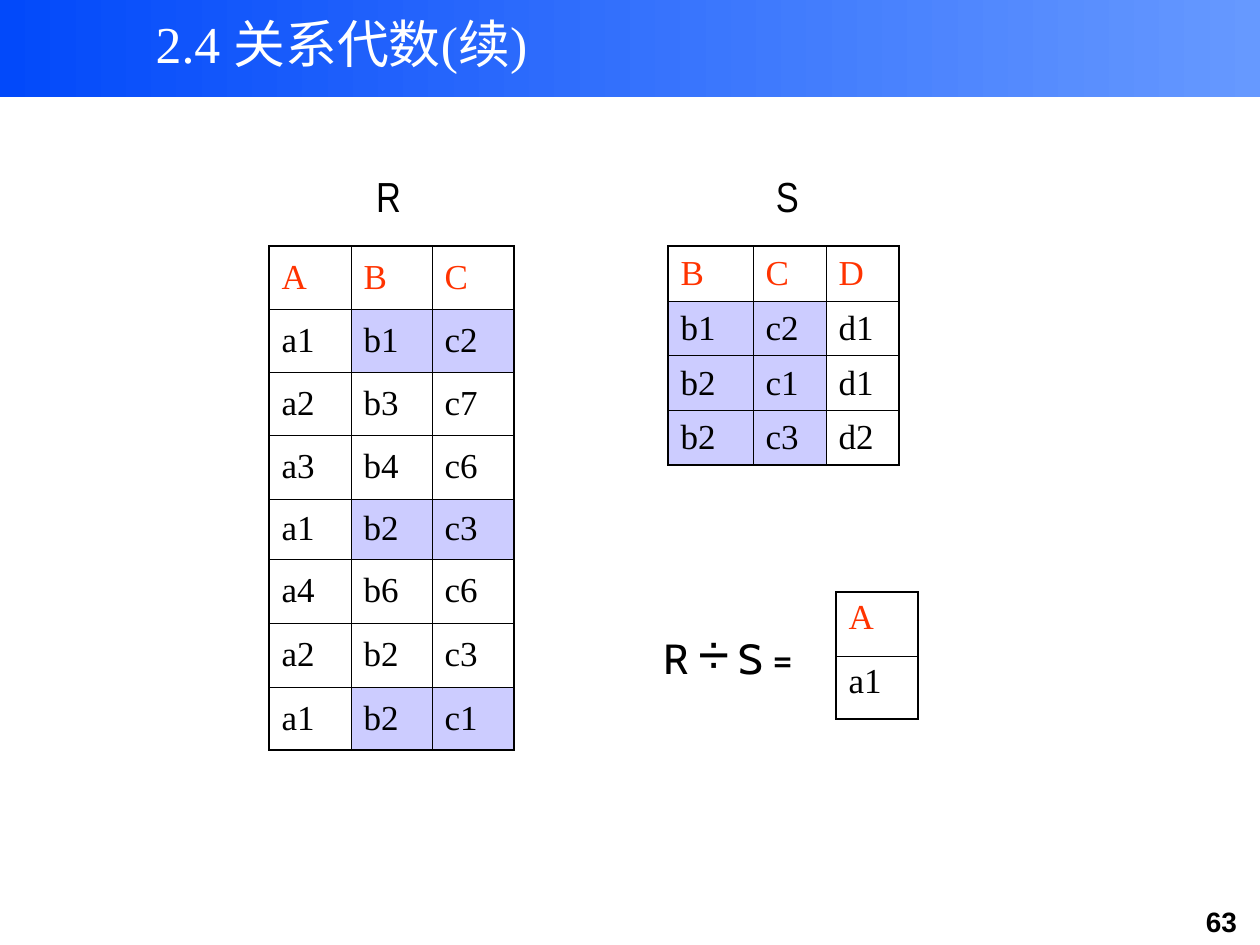
import dataclasses

import pptx
import pptx.dml.color
import pptx.enum.shapes
import pptx.enum.text
import pptx.oxml
import pptx.oxml.ns
import pptx.util

ALIGN = pptx.enum.text.PP_ALIGN
ANCHOR = pptx.enum.text.MSO_ANCHOR


@dataclasses.dataclass(frozen=True)
class Theme:
    banner_start: str = "0249FA"
    banner_end: str = "6699FF"
    white: str = "FFFFFF"
    ink: str = "000000"
    header: str = "FF3300"
    match: str = "CCCCFF"
    serif: str = "Times New Roman"
    sans: str = "Arial"
    narrow: str = "Arial Narrow"
    formula: str = "Cabin"
    title_size: float = 29.6
    operator_size: int = 32
    label_size: int = 24
    cell_size: int = 20
    number_size: int = 16
    outer_line: float = 1.08
    inner_line: float = 0.45


class SlideBuilder:
    def __init__(self, deck, theme):
        self.theme = theme
        self.slide = deck.slides.add_slide(deck.slide_layouts[6])

    @staticmethod
    def px(*lengths):
        return [pptx.util.Emu(round(length * 914400 / 126)) for length in lengths]

    @staticmethod
    def color(value):
        return pptx.dml.color.RGBColor.from_string(value)

    def style(self, font, name, size, color, bold=False):
        font.name = name
        font.size = pptx.util.Pt(size)
        font.bold = bold
        font.color.rgb = self.color(color)

    def banner(self, *frame):
        shape = self.slide.shapes.add_shape(
            pptx.enum.shapes.MSO_SHAPE.RECTANGLE, *self.px(*frame))
        shape.shadow.inherit = False
        shape.line.fill.background()
        shape.fill.gradient()
        shape.fill.gradient_angle = 0
        stops = shape.fill.gradient_stops
        for stop, value in zip(stops, (self.theme.banner_start, self.theme.banner_end)):
            stop.color.rgb = self.color(value)

    def text(self, frame, spans, color, bold=False, anchor=ANCHOR.TOP):
        box = self.slide.shapes.add_textbox(*self.px(*frame))
        box.text_frame.word_wrap = False
        box.text_frame.vertical_anchor = anchor
        para = box.text_frame.paragraphs[0]
        para.alignment = ALIGN.CENTER
        for words, name, size in spans:
            span = para.add_run()
            span.text = words
            self.style(span.font, name, size, color, bold)

    def border(self, cell, sides):
        properties = cell._tc.get_or_add_tcPr()
        for side, is_outer in sides.items():
            points = self.theme.outer_line if is_outer else self.theme.inner_line
            properties.append(pptx.oxml.parse_xml(
                f'<a:ln{side} {pptx.oxml.ns.nsdecls("a")} w="{pptx.util.Pt(points)}">'
                f'<a:solidFill><a:srgbClr val="{self.theme.ink}"/></a:solidFill>'
                f'</a:ln{side}>'))

    def relation(self, left, top, widths, heights, rows, matches=(), anchor=ANCHOR.MIDDLE):
        frame = self.px(left, top, sum(widths), sum(heights))
        table = self.slide.shapes.add_table(len(rows), len(widths), *frame).table
        table.first_row = table.horz_banding = False
        for column, width in zip(table.columns, self.px(*widths)):
            column.width = width
        for line, height in zip(table.rows, self.px(*heights)):
            line.height = height
        for r, row in enumerate(rows):
            for c, value in enumerate(row.split()):
                cell = table.cell(r, c)
                cell.text_frame.text = value
                cell.vertical_anchor = anchor
                color = self.theme.header if r == 0 else self.theme.ink
                span = cell.text_frame.paragraphs[0].runs[0]
                self.style(span.font, self.theme.serif, self.theme.cell_size, color)
                self.border(cell, {"L": c == 0, "R": c == len(widths) - 1,
                                   "T": r == 0, "B": r == len(rows) - 1})
                if (r, c) in matches:
                    cell.fill.solid()
                    cell.fill.fore_color.rgb = self.color(self.theme.match)
                else:
                    cell.fill.background()


def main():
    theme = Theme()
    deck = pptx.Presentation()
    deck.slide_width, deck.slide_height = SlideBuilder.px(1260, 945)
    page = SlideBuilder(deck, theme)

    page.banner(0, 0, 1260, 97)
    page.text((1183, 898, 77, 47), [("63", theme.sans, theme.number_size)],
              theme.ink, bold=True)
    page.text((116, 1, 451, 84), [("2.4 关系代数(续)", theme.serif, theme.title_size)],
              theme.white, anchor=ANCHOR.MIDDLE)

    r_rows = ["A B C", "a1 b1 c2", "a2 b3 c7", "a3 b4 c6",
              "a1 b2 c3", "a4 b6 c6", "a2 b2 c3", "a1 b2 c1"]
    r_matches = {(r, c) for r, row in enumerate(r_rows) if row.startswith("a1")
                 for c in (1, 2)}
    page.relation(269, 246, [82, 81, 82], [63, 63, 63, 64, 60, 64, 64, 63],
                  r_rows, r_matches)

    s_rows = ["B C D", "b1 c2 d1", "b2 c1 d1", "b2 c3 d2"]
    s_matches = {(r, c) for r in range(1, len(s_rows)) for c in (0, 1)}
    page.relation(668, 246, [85, 73, 73], [55, 54, 55, 54], s_rows, s_matches)

    for name, left in (("R", 358), ("S", 757)):
        page.text((left, 164, 61, 64), [(name, theme.narrow, theme.label_size)], theme.ink)

    page.text((641, 612, 175, 81),
              [("R ", theme.formula, theme.label_size),
               ("÷", theme.sans, theme.operator_size),
               (" S =", theme.formula, theme.label_size)], theme.ink)
    page.relation(836, 592, [82], [64, 63], ["A", "a1"], anchor=ANCHOR.TOP)

    deck.save("out.pptx")


if __name__ == "__main__":
    main()
